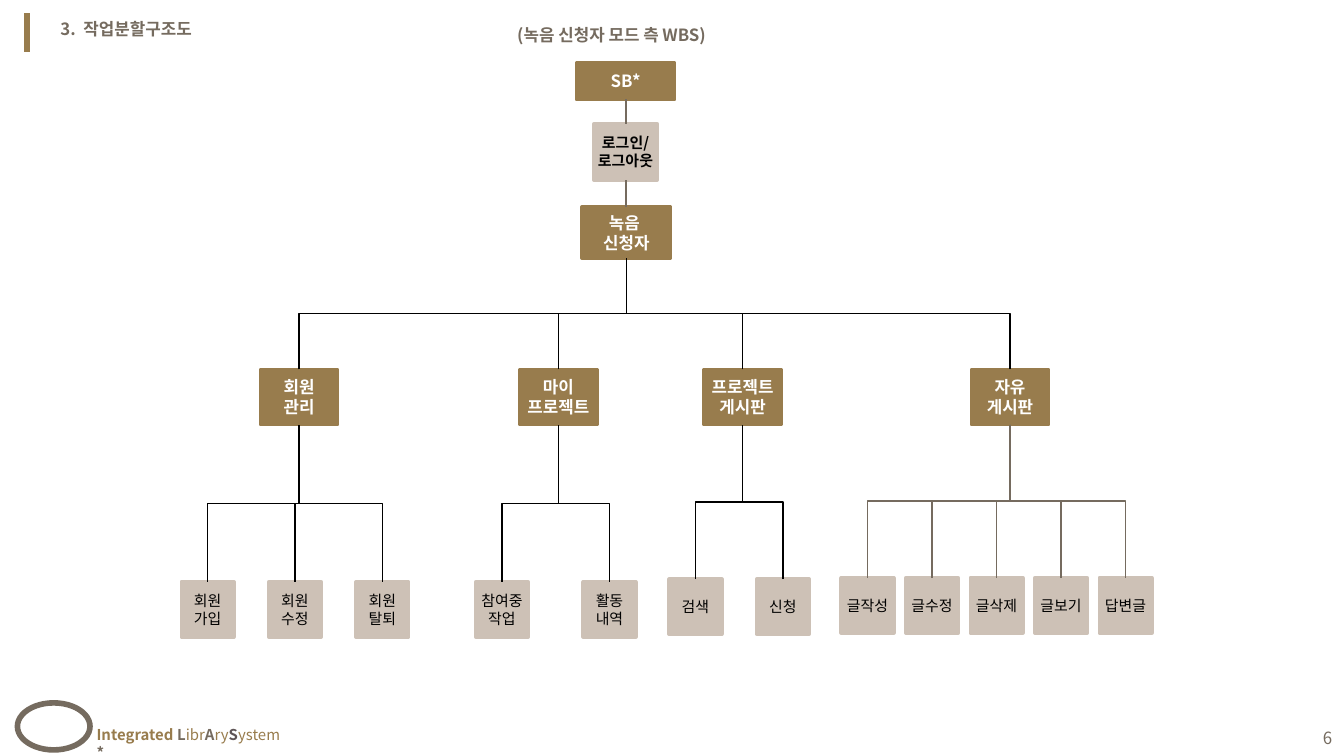
from lxml.etree import SubElement
from pptx import Presentation
from pptx.dml.color import RGBColor
from pptx.enum.shapes import MSO_CONNECTOR, MSO_SHAPE
from pptx.enum.text import MSO_ANCHOR, PP_ALIGN
from pptx.oxml.ns import qn
from pptx.util import Inches, Pt

FONT = "Noto Sans CJK KR"
GOLD = RGBColor(0x98, 0x7C, 0x4D)
SAND = RGBColor(0xCD, 0xC1, 0xB6)
GRAY = RGBColor(0x75, 0x6B, 0x5F)
DARK = RGBColor(0x5F, 0x55, 0x56)
WHITE = RGBColor(0xFF, 0xFF, 0xFF)
BLACK = RGBColor(0, 0, 0)

# Heading, left of heading and of first leaf, leaf top, leaf step, leaves
# In texts, \n starts a paragraph and \v breaks a line
GROUPS = [
    ("회원\n관리", 1.94, 1.35, 4.33, 0.65, ["회원\v가입", "회원\v수정", "회원\v탈퇴"]),
    ("마이\v프로젝트", 3.87, 3.54, 4.33, 0.8, ["참여중\v작업", "활동\v내역"]),
    ("프로젝트\v게시판", 5.24, 4.98, 4.31, 0.65, ["검색", "신청"]),
    ("자유\v게시판", 7.23, 6.26, 4.3, 0.48,
     ["글작성", "글수정", "글삭제", "글보기", "답변글"]),
]


def write(par, text, size=9, color=GRAY, bold=False):
    """Add formatted text to a paragraph, with a line break at each \\v."""
    for i, part in enumerate(text.split("\v")):
        if i:
            par.add_line_break()
            SubElement(par._p[-1], qn("a:rPr"), sz=str(size * 100))
        run = par.add_run()
        run.text = part
        font = run.font
        font.size, font.bold, font.name = Pt(size), bold, FONT
        font.color.rgb = color
        SubElement(run._r.get_or_add_rPr(), qn("a:ea"), typeface=FONT)


def put(shape, text, align=PP_ALIGN.LEFT, anchor=MSO_ANCHOR.MIDDLE, inset=None, **style):
    """Fill a shape with one paragraph for each line of text."""
    frame = shape.text_frame
    frame.word_wrap, frame.vertical_anchor = True, anchor
    if inset is not None:
        frame.margin_left = frame.margin_right = Inches(inset)
        frame.margin_top = frame.margin_bottom = Inches(inset)
    for i, line in enumerate(text.split("\n")):
        par = frame.add_paragraph() if i else frame.paragraphs[0]
        par.alignment = align
        write(par, line, **style)


def label(slide, box, text, **style):
    shape = slide.shapes.add_textbox(*map(Inches, box))
    put(shape, text, **style)
    return shape


def block(slide, box, text, fill, **style):
    shape = slide.shapes.add_shape(MSO_SHAPE.RECTANGLE, *map(Inches, box))
    shape.shadow.inherit = False
    shape.fill.solid()
    shape.fill.fore_color.rgb = shape.line.color.rgb = fill
    shape.line.width = Pt(2)
    put(shape, text, align=PP_ALIGN.CENTER, inset=0, **style)
    return shape


def node(slide, box, text):
    return block(slide, box, text, GOLD, color=WHITE, bold=True)


def leaf(slide, box, text, bold=False):
    return block(slide, box, text, SAND, size=8, color=BLACK, bold=bold)


def stroke(line, color, width):
    line.line.color.rgb, line.line.width = color, Pt(width)
    SubElement(line._element.spPr, qn("a:effectLst"))


def link(slide, start, end, color=BLACK, width=0.75):
    """Join two blocks with an elbow that leaves and arrives vertically."""
    up = end.top < start.top
    line = slide.shapes.add_connector(MSO_CONNECTOR.ELBOW, 0, 0, 0, 0)
    line.begin_connect(start, 0 if up else 2)
    line.end_connect(end, 2 if up else 0)
    dx, dy = line.end_x - line.begin_x, line.end_y - line.begin_y
    midx, midy = line.begin_x + dx // 2, line.begin_y + dy // 2
    right = dx > 0
    # Turn the elbow a quarter about its centre
    line.width, line.height = abs(dy), abs(dx)
    line.left, line.top = midx - abs(dy) // 2, midy - abs(dx) // 2
    frame = line._element.spPr.find(qn("a:xfrm"))
    frame.set("rot", str((270 if right != up else 90) * 60000))
    frame.set("flipH", str(int(right)))
    frame.set("flipV", str(int(up)))
    stroke(line, color, width)


def header(slide, left, top):
    bar = slide.shapes.add_connector(
        MSO_CONNECTOR.STRAIGHT, *map(Inches, (left, top, left, top + 0.29)))
    stroke(bar, GOLD, 3)
    title = slide.shapes.title
    title.left, title.top = Inches(left + 0.15), Inches(top - 0.01)
    title.width, title.height = Inches(3.21), Inches(0.25)
    put(title, "3.  작업분할구조도", bold=True)
    label(slide, (left + 3.55, top + 0.03, 1.81, 0.25),
          "(녹음 신청자 모드 측 WBS)", bold=True)


def trunk(slide, left, top):
    """Stack the three top blocks and return the lowest."""
    root = node(slide, (left, top, 0.73, 0.27), "SB*")
    login = leaf(slide, (left + 0.13, top + 0.45, 0.47, 0.42),
                 "로그인/\v로그아웃", bold=True)
    user = node(slide, (left + 0.04, top + 1.07, 0.66, 0.38), "녹음 \v신청자")
    link(slide, root, login, GRAY, 1)
    link(slide, login, user, GRAY, 1)
    return user


def branch(slide, user, top, group):
    text, left, first, low, step, names = group
    head = node(slide, (left, top, 0.57, 0.41), text)
    link(slide, head, user)
    for i, name in enumerate(names):
        item = leaf(slide, (first + i * step, low, 0.39, 0.41), name)
        if group is GROUPS[-1]:
            link(slide, head, item, GRAY, 1)
        else:
            link(slide, item, head)


def footer(slide, left, top):
    # Plain badge
    badge = slide.shapes.add_shape(
        MSO_SHAPE.OVAL, *map(Inches, (left, top, 0.54, 0.35)))
    badge.shadow.inherit = False
    badge.fill.background()
    badge.line.color.rgb, badge.line.width = GRAY, Pt(3)
    # System name
    name = label(slide, (left + 0.49, top + 0.12, 1.63, 0.24), "Integrated ",
                 anchor=MSO_ANCHOR.TOP, size=8, color=GOLD, bold=True)
    par = name.text_frame.paragraphs[0]
    for text, color, bold in [
            ("L", GRAY, True), ("ibr", GOLD, False), ("A", GRAY, True),
            ("ry", GOLD, False), ("S", DARK, True), ("ystem ", GOLD, False),
            ("*", GRAY, True)]:
        write(par, text, size=8, color=color, bold=bold)
    # Page number
    label(slide, (left + 7.55, top + 0.11, 2.33, 0.3), "6", align=PP_ALIGN.RIGHT)


def main():
    deck = Presentation()
    # Widescreen, 16 to 9
    deck.slide_width = Inches(10)
    deck.slide_height = deck.slide_width * 9 // 16
    slide = deck.slides.add_slide(deck.slide_layouts[5])
    header(slide, 0.2, 0.1)
    user = trunk(slide, 4.29, 0.47)
    for group in GROUPS:
        branch(slide, user, 2.75, group)
    footer(slide, 0.13, 5.23)
    deck.save("out.pptx")


if __name__ == "__main__":
    main()
